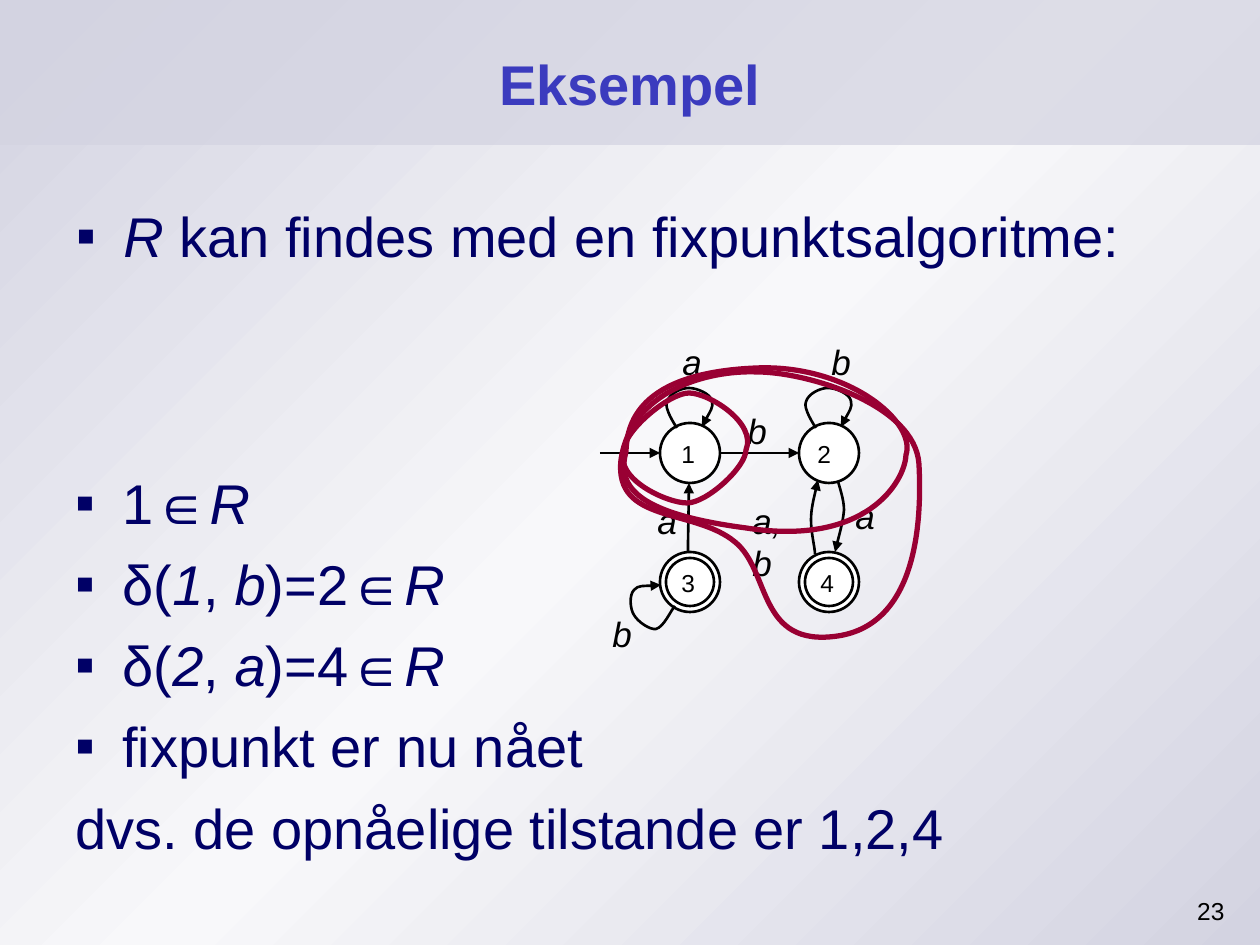
from copy import deepcopy

from lxml import etree
from pptx import Presentation
from pptx.dml.color import RGBColor
from pptx.enum.shapes import MSO_CONNECTOR, MSO_SHAPE
from pptx.enum.text import MSO_ANCHOR, PP_ALIGN
from pptx.oxml.ns import qn
from pptx.util import Emu, Pt

RECTANGLE, OVAL = MSO_SHAPE.RECTANGLE, MSO_SHAPE.OVAL
STRAIGHT = MSO_CONNECTOR.STRAIGHT
LEFT, CENTER, RIGHT = PP_ALIGN.LEFT, PP_ALIGN.CENTER, PP_ALIGN.RIGHT
MIDDLE = MSO_ANCHOR.MIDDLE
PIXEL = 914400 / 126
NAVY, BLACK, WHITE, RED = "000066", "000000", "FFFFFF", "990033"
color = RGBColor.from_string

deck = Presentation()
deck.slide_width, deck.slide_height = Emu(9144000), Emu(6858000)
page = deck.slides.add_slide(deck.slide_layouts[6])
shapes = page.shapes


def emu(*pixels):
    return [Emu(round(pixel * PIXEL)) for pixel in pixels]


def add_text(place, lines, size, tint, align=LEFT, wrap=True):
    box = shapes.add_textbox(*emu(*place))
    box.text_frame.word_wrap = wrap
    for index, line in enumerate(lines):
        para = box.text_frame.paragraphs[0] if index == 0 else box.text_frame.add_paragraph()
        para.alignment = align
        para.font.name, para.font.size = "Arial", Pt(size)
        para.font.color.rgb = color(tint)
        for part, words in enumerate(line.split("*")):
            if words:
                span = para.add_run()
                span.text = words
                span.font.italic = part % 2 == 1
    return box


backdrop = shapes.add_shape(RECTANGLE, *emu(0, 0, 1260, 945))
backdrop.fill.gradient()
backdrop.fill.gradient_angle = 135
first_stop = backdrop._element.spPr.find(".//" + qn("a:gs"))
first_stop.addnext(deepcopy(first_stop))
for stop, (position, tint) in zip(
    backdrop.fill.gradient_stops, [(0, "D3D3E1"), (0.5, "F8F8FA"), (1, "D3D3E1")]
):
    stop.position = position
    stop.color.rgb = color(tint)

band = shapes.add_shape(RECTANGLE, *emu(0, 0, 1260, 145))
band.fill.solid()
band.fill.fore_color.rgb = color("D3D3E1")
band_color = band._element.spPr.find(".//" + qn("a:srgbClr"))
etree.SubElement(band_color, qn("a:alpha"), val="72000")
for panel in (backdrop, band):
    panel.line.fill.background()
    panel.shadow.inherit = False

title = add_text((63, 21, 1134, 125), ["Eksempel"], 32, "3B3BBE", CENTER)
title.text_frame.vertical_anchor = MIDDLE
title.text_frame.paragraphs[0].font.bold = True

arrows = []
for start, end in [(600, 660), (719, 799)]:
    arrow = shapes.add_connector(STRAIGHT, *emu(start, 453, end, 453))
    etree.SubElement(arrow._element.spPr, qn("a:effectLst"))
    arrows.append(arrow)

top_loop = [(677, 428), (675, 425), (664, 408), (667, 402), (669, 394), (681, 388), (689, 388),
            (697, 388), (711, 394), (712, 401), (714, 407), (704, 422), (702, 427)]
transitions = [
    top_loop,
    [(x + 139, y) for x, y in top_loop],
    [(838, 481), (839, 486), (844, 499), (844, 510), (843, 522), (837, 543), (835, 552)],
    [(815, 554), (815, 548), (811, 533), (811, 520), (811, 509), (816, 489), (818, 480)],
    [(688, 552), (688, 541), (689, 496), (689, 483)],
    [(675, 606), (671, 610), (664, 627), (656, 629), (650, 630), (638, 622), (634, 615),
     (630, 609), (629, 595), (634, 590), (638, 585), (655, 586), (661, 585)],
]
reached_sets = [
    [(687, 503), (707, 503), (746, 467), (746, 450), (757, 423), (709, 393), (689, 393),
     (669, 393), (624, 431), (624, 450), (614, 479), (667, 503), (687, 503)],
    [(746, 528), (867, 547), (905, 481), (906, 455), (917, 422), (848, 364), (756, 368),
     (636, 373), (627, 426), (626, 452), (616, 488), (640, 514), (746, 528)],
    [(838, 636), (917, 624), (922, 522), (919, 464), (915, 404), (806, 372), (757, 372),
     (707, 370), (631, 391), (621, 460), (614, 524), (694, 508), (735, 542),
     (771, 571), (757, 648), (838, 636)],
]

states = [(660, 423, 60), (799, 423, 60), (660, 552, 60), (799, 552, 60),
          (666, 558, 48), (805, 558, 48)]
for left, top, size in states:
    state = shapes.add_shape(OVAL, *emu(left, top, size, size))
    state.fill.solid()
    state.fill.fore_color.rgb = color(WHITE)
    state.line.color.rgb = color(BLACK)
    state.line.width = Pt(1.5)
    state.shadow.inherit = False

for name, left, top in [("1", 669, 433), ("2", 805, 433), ("3", 669, 562), ("4", 808, 562)]:
    add_text((left, top, 39, 43), [name], 14, BLACK, wrap=False)
for letter, left, top, width in [
    ("a", 670, 334, 44), ("b", 819, 334, 44), ("b", 735, 403, 44), ("a", 843, 488, 44),
    ("a", 645, 493, 44), ("a,b", 740, 493, 73), ("b", 600, 606, 44),
]:
    add_text((left, top, width, 55), [f"*{letter}*"], 20, BLACK, wrap=False)

findings = add_text((63, 462, 1163, 436), [
    "1∈*R*",
    "δ(*1*, *b*)=2∈*R*",
    "δ(*2*, *a*)=4∈*R*",
    "fixpunkt er nu nået",
    "dvs. de opnåelige tilstande er 1,2,4",
], 32, NAVY)
claim = add_text((64, 195, 1163, 436), ["*R* kan findes med en fixpunktsalgoritme:"], 32, NAVY)
paragraphs = [*claim.text_frame.paragraphs, *findings.text_frame.paragraphs]
for para in paragraphs:
    para.space_before = Pt(8)
    properties = para._p.get_or_add_pPr()
    hanging = emu(47)[0]
    properties.set("marL", str(hanging))
    properties.set("indent", str(-hanging))
    if para is not paragraphs[-1]:
        defaults = properties.find(qn("a:defRPr"))
        bullet_color = etree.Element(qn("a:buClr"))
        etree.SubElement(bullet_color, qn("a:srgbClr"), val=NAVY)
        defaults.addprevious(bullet_color)
        defaults.addprevious(etree.Element(qn("a:buFont"), typeface="Arial"))
        defaults.addprevious(etree.Element(qn("a:buChar"), char="▪"))

for points in transitions + reached_sets:
    closed = points in reached_sets
    builder = shapes.build_freeform(*points[0], scale=PIXEL)
    builder.add_line_segments(points[1:], close=closed)
    curve = builder.convert_to_shape()
    segments = curve._element.findall(".//" + qn("a:lnTo"))
    for index in range(0, len(points) - 1, 3):
        bezier = etree.Element(qn("a:cubicBezTo"))
        segments[index].addprevious(bezier)
        for segment in segments[index:index + 3]:
            bezier.append(segment[0])
            segment.getparent().remove(segment)
    curve.fill.background()
    curve.shadow.inherit = False
    if closed:
        curve.line.color.rgb = color(RED)
        curve.line.width = Pt(3)
    else:
        arrows.append(curve)

for arrow in arrows:
    arrow.line.color.rgb = color(BLACK)
    arrow.line.width = Pt(1.5)
    outline = arrow._element.spPr.find(qn("a:ln"))
    etree.SubElement(outline, qn("a:tailEnd"), type="triangle")

add_text((1137, 890, 100, 49), ["23"], 14, BLACK, RIGHT)
deck.save("out.pptx")
